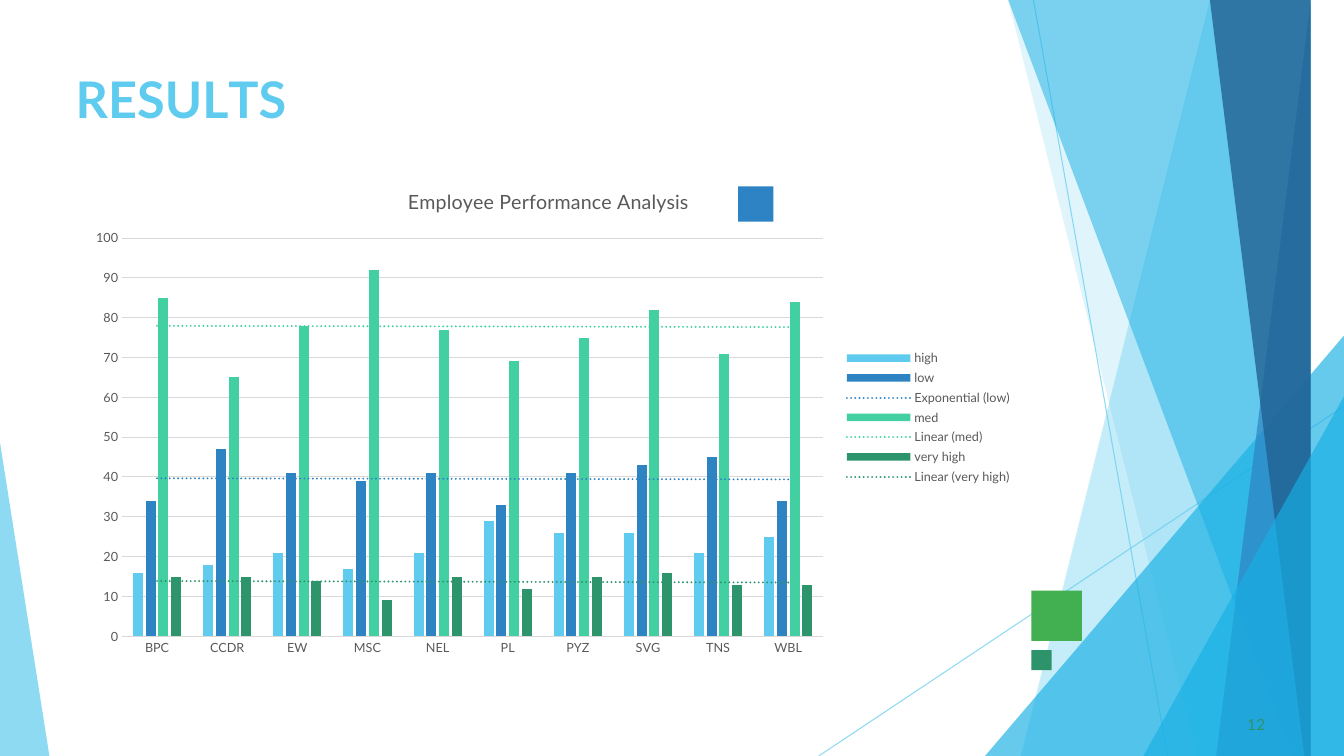
from lxml.etree import SubElement
from pptx import Presentation
from pptx.chart.data import CategoryChartData
from pptx.dml.color import RGBColor
from pptx.enum.chart import XL_CHART_TYPE, XL_LEGEND_POSITION, XL_TICK_MARK
from pptx.enum.shapes import MSO_CONNECTOR, MSO_SHAPE
from pptx.enum.text import MSO_ANCHOR, PP_ALIGN
from pptx.oxml import parse_xml
from pptx.oxml.ns import nsdecls, qn
from pptx.util import Inches, Pt

SKY = RGBColor(0x5F, 0xCB, 0xEF)
CYAN = RGBColor(0x17, 0xB0, 0xE4)
BLUE = RGBColor(0x2E, 0x83, 0xC3)
NAVY = RGBColor(0x22, 0x62, 0x92)
LEAF = RGBColor(0x42, 0xAF, 0x51)
MARKER_BLUE = RGBColor(0x2D, 0x83, 0xC3)
PINE = RGBColor(0x2D, 0x93, 0x6B)
MINT = RGBColor(0x42, 0xD0, 0xA2)
FOREST = RGBColor(0x2E, 0x94, 0x6B)
GREY = RGBColor(0x59, 0x59, 0x59)
GRID = RGBColor(0xD9, 0xD9, 0xD9)
FONT = "Lato"
WIDTH, HEIGHT = 13.33, 7.5


def paint(shape, color, opacity=100):
    shape.shadow.inherit = False
    shape.fill.solid()
    shape.fill.fore_color.rgb = color
    shape.line.fill.background()
    if opacity < 100:
        tint = shape._element.spPr.find(".//" + qn("a:srgbClr"))
        SubElement(tint, qn("a:alpha"), val=str(opacity * 1000))


def add_run(paragraph, text, size, color, spacing, bold=False):
    run = paragraph.add_run()
    run.text = text
    run.font.name = FONT
    run.font.size = Pt(size)
    run.font.bold = bold
    run.font.color.rgb = color
    run.font._element.set("spc", str(round(spacing * 100)))


prs = Presentation()
prs.slide_width, prs.slide_height = Inches(WIDTH), Inches(HEIGHT)
slide = prs.slides.add_slide(prs.slide_layouts[5])
shapes = slide.shapes

for x1, y1, x2, y2 in [(10.25, 0, 11.58, HEIGHT), (WIDTH, 4.03, 8.12, HEIGHT)]:
    ray = shapes.add_connector(MSO_CONNECTOR.STRAIGHT, Inches(x1), Inches(y1), Inches(x2), Inches(y2))
    ray.line.color.rgb = SKY
    ray.line.width = Pt(0.75)
    ray_tint = ray._element.spPr.find(".//" + qn("a:srgbClr"))
    SubElement(ray_tint, qn("a:alpha"), val="70000")
    SubElement(ray._element.spPr, qn("a:effectLst"))

facets = [
    (12.28, 0, 10.04, SKY, 36),
    (10.5, 0, 11.83, SKY, 20),
    (WIDTH, 3.33, 9.77, CYAN, 66),
    (10.21, 0, 12.91, CYAN, 50),
    (13.03, 0, 11.92, BLUE, 70),
    (11.96, 0, 13.18, NAVY, 80),
    (WIDTH, 3.93, 11.34, CYAN, 66),
]
for top_x, top_y, bottom_x, color, opacity in facets:
    if top_x == WIDTH:
        facet = shapes.add_shape(
            MSO_SHAPE.ISOSCELES_TRIANGLE, Inches(bottom_x), Inches(top_y),
            Inches(WIDTH - bottom_x), Inches(HEIGHT - top_y))
        facet.adjustments[0] = 1
    else:
        outline = shapes.build_freeform(top_x, top_y, scale=Inches(1))
        outline.add_line_segments([(WIDTH, top_y), (WIDTH, HEIGHT), (bottom_x, HEIGHT)])
        facet = outline.convert_to_shape()
    paint(facet, color, opacity)

left_facet = shapes.add_shape(
    MSO_SHAPE.ISOSCELES_TRIANGLE, 0, Inches(4.39), Inches(0.49), Inches(3.11))
left_facet.adjustments[0] = 0
paint(left_facet, SKY, 70)

for x, y, side, color in [(10.23, 5.86, 0.5, LEAF), (7.32, 1.85, 0.35, MARKER_BLUE), (10.23, 6.45, 0.2, PINE)]:
    square = shapes.add_shape(MSO_SHAPE.RECTANGLE, Inches(x), Inches(y), Inches(side), Inches(side))
    paint(square, color)

heading = shapes.title
heading.left, heading.top = Inches(0.74), Inches(0.67)
heading.width, heading.height = Inches(9.4), Inches(0.62)
page_number = shapes.add_textbox(Inches(12.33), Inches(7.08), Inches(0.25), Inches(0.21))
for frame, space_before in [(heading.text_frame, 1.1), (page_number.text_frame, 0.6)]:
    frame.word_wrap = True
    frame.vertical_anchor = MSO_ANCHOR.TOP
    frame.margin_left = frame.margin_right = frame.margin_bottom = 0
    frame.margin_top = Inches(0.01)
    frame.paragraphs[0].alignment = PP_ALIGN.LEFT
    frame.paragraphs[0].space_before = Pt(space_before)
heading.text_frame.margin_left = Inches(0.01)
page_number.text_frame.margin_left = Inches(0.04)

for letters, spacing in [("R", 0), ("E", -0.4), ("S", 0.1), ("U", -0.3), ("L", -4), ("TS", 0)]:
    add_run(heading.text_frame.paragraphs[0], letters, 36, SKY, spacing, bold=True)
add_run(page_number.text_frame.paragraphs[0], "12", 11, PINE, 0.1)

performance = [
    ("high", [16, 18, 21, 17, 21, 29, 26, 26, 21, 25], SKY, None),
    ("low", [34, 47, 41, 39, 41, 33, 41, 43, 45, 34], BLUE, "exp"),
    ("med", [85, 65, 78, 92, 77, 69, 75, 82, 71, 84], MINT, "linear"),
    ("very high", [15, 15, 14, 9, 15, 12, 15, 16, 13, 13], FOREST, "linear"),
]
chart_data = CategoryChartData()
chart_data.categories = ["BPC", "CCDR", "EW", "MSC", "NEL", "PL", "PYZ", "SVG", "TNS", "WBL"]
for rating, counts, color, trend in performance:
    chart_data.add_series(rating, counts)
chart = shapes.add_chart(
    XL_CHART_TYPE.COLUMN_CLUSTERED, Inches(0.74), Inches(1.67), Inches(9.4), Inches(4.94), chart_data).chart
chart.font.name = FONT
chart.font.size = Pt(9)
chart.font.color.rgb = GREY
chart.has_title = True
add_run(chart.chart_title.text_frame.paragraphs[0], "Employee Performance Analysis", 14, GREY, 0)
chart.chart_title.include_in_layout = False
chart.has_legend = True
chart.legend.position = XL_LEGEND_POSITION.RIGHT
chart.legend.include_in_layout = False

plot = chart.plots[0]
plot.gap_width = 219
plot.overlap = -27
plot.vary_by_categories = False
for series, (rating, counts, color, trend) in zip(plot.series, performance):
    series.format.fill.solid()
    series.format.fill.fore_color.rgb = color
    if trend:
        series._element.find(qn("c:cat")).addprevious(parse_xml(
            f'<c:trendline {nsdecls("c", "a")}><c:spPr><a:ln w="{Pt(1.5)}" cap="rnd">'
            f'<a:solidFill><a:srgbClr val="{color}"/></a:solidFill><a:prstDash val="sysDot"/></a:ln></c:spPr>'
            f'<c:trendlineType val="{trend}"/><c:dispRSqr val="0"/><c:dispEq val="0"/></c:trendline>'))

for axis in (chart.category_axis, chart.value_axis):
    axis.major_tick_mark = axis.minor_tick_mark = XL_TICK_MARK.NONE
chart.category_axis.format.line.color.rgb = GRID
chart.category_axis.format.line.width = Pt(0.75)
chart.value_axis.format.line.fill.background()
chart.value_axis.minimum_scale, chart.value_axis.maximum_scale = 0, 100
chart.value_axis.major_unit = 10
chart.value_axis.major_gridlines.format.line.color.rgb = GRID
chart.value_axis.major_gridlines.format.line.width = Pt(0.75)

plot_area = chart._chartSpace.find(".//" + qn("c:plotArea"))
for automatic_layout in plot_area.findall(qn("c:layout")):
    plot_area.remove(automatic_layout)
plot_area.insert(0, parse_xml(
    f'<c:layout {nsdecls("c")}><c:manualLayout><c:layoutTarget val="inner"/>'
    '<c:xMode val="edge"/><c:yMode val="edge"/><c:x val="0.05"/><c:y val="0.14"/>'
    '<c:w val="0.74"/><c:h val="0.8"/></c:manualLayout></c:layout>'))

prs.save("out.pptx")
